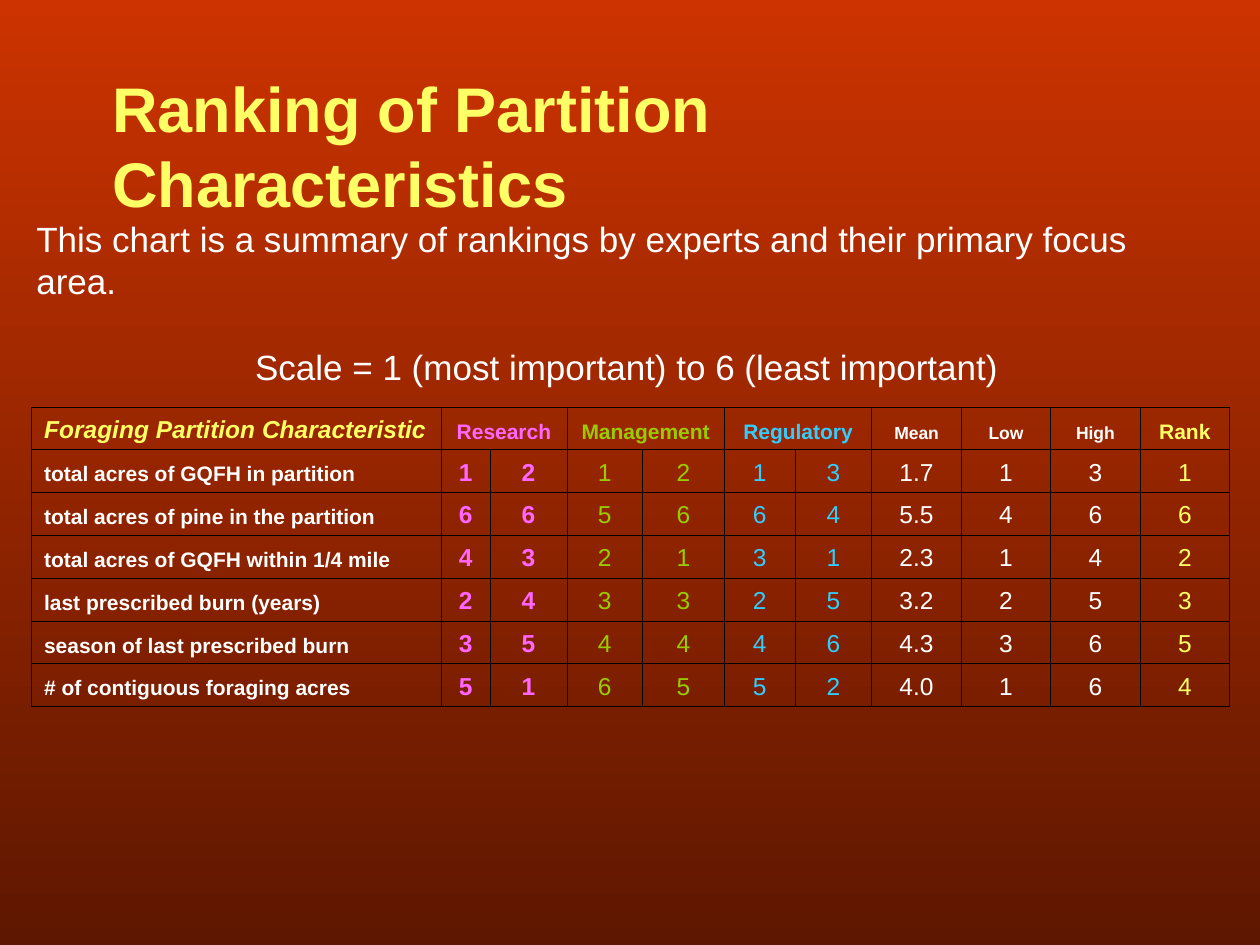
from lxml import etree
from pptx import Presentation
from pptx.dml.color import RGBColor
from pptx.enum.text import MSO_ANCHOR, MSO_AUTO_SIZE, PP_ALIGN
from pptx.oxml.ns import qn
from pptx.util import Inches, Pt

LEFT, CENTER = PP_ALIGN.LEFT, PP_ALIGN.CENTER
TOP, BOTTOM = MSO_ANCHOR.TOP, MSO_ANCHOR.BOTTOM

YELLOW = RGBColor(0xFF, 0xFF, 0x66)
WHITE = RGBColor(0xFF, 0xFF, 0xFF)
PINK = RGBColor(0xFF, 0x66, 0xFF)
GREEN = RGBColor(0x99, 0xCC, 0x00)
BLUE = RGBColor(0x33, 0xCC, 0xFF)
RED = RGBColor(0xCC, 0x33, 0x00)
BROWN = RGBColor(0x5E, 0x17, 0x00)
BLACK = RGBColor(0, 0, 0)

# Content
TITLE = "Ranking of Partition Characteristics"
INTRO = [
    ("This chart is a summary of rankings by experts and their primary focus area.", LEFT),
    ("Scale = 1 (most important) to 6 (least important)", CENTER),
]
# Heading, its size, colour, widths of the columns below it
GROUPS = [
    ("Foraging Partition Characteristic", 14, YELLOW, [3.25]),
    ("Research", 12, PINK, [0.39, 0.61]),
    ("Management", 12, GREEN, [0.6, 0.65]),
    ("Regulatory", 12, BLUE, [0.56, 0.61]),
    ("Mean", 10, WHITE, [0.71]),
    ("Low", 10, WHITE, [0.71]),
    ("High", 10, WHITE, [0.71]),
    ("Rank", 12, YELLOW, [0.71]),
]
ROWS = [
    ("total acres of GQFH in partition", 1, 2, 1, 2, 1, 3, 1.7, 1, 3, 1),
    ("total acres of pine in the partition", 6, 6, 5, 6, 6, 4, 5.5, 4, 6, 6),
    ("total acres of GQFH within 1/4 mile", 4, 3, 2, 1, 3, 1, 2.3, 1, 4, 2),
    ("last prescribed burn (years)", 2, 4, 3, 3, 2, 5, 3.2, 2, 5, 3),
    ("season of last prescribed burn", 3, 5, 4, 4, 4, 6, 4.3, 3, 6, 5),
    ("# of contiguous foraging acres", 5, 1, 6, 5, 5, 2, 4.0, 1, 6, 4),
]
ROW_HEIGHT = 0.34


def style(p, size, color, bold=False, italic=False, align=LEFT):
    p.alignment = align
    f = p.font
    f.name, f.size, f.bold, f.italic = "Arial", Pt(size), bold, italic
    f.color.rgb = color


def add_borders(cell):
    tcPr = cell._tc.get_or_add_tcPr()
    for side in ("lnL", "lnR", "lnT", "lnB"):
        ln = etree.SubElement(tcPr, qn(f"a:{side}"), w=str(Pt(0.45)))
        fill = etree.SubElement(ln, qn("a:solidFill"))
        etree.SubElement(fill, qn("a:srgbClr"), val=str(BLACK))


def fill_cell(cell, text, *args, **kwargs):
    add_borders(cell)
    cell.fill.background()
    cell.vertical_anchor = BOTTOM
    cell.text = text
    style(cell.text_frame.paragraphs[0], *args, **kwargs)


prs = Presentation()
prs.slide_width, prs.slide_height = Inches(10), Inches(7.5)
s = prs.slides.add_slide(prs.slide_layouts[5])

# Background, running from top to bottom
bg = s.background.fill
bg.gradient()
bg.gradient_angle = 270
for stop, color in zip(bg.gradient_stops, (RED, BROWN)):
    stop.color.rgb = color

# Ranking table
widths = [w for group in GROUPS for w in group[3]]
frame = s.shapes.add_table(len(ROWS) + 1, len(widths), Inches(0.25), Inches(3.23),
                           Inches(sum(widths)), Inches(ROW_HEIGHT * (len(ROWS) + 1)))
table = frame.table
table.first_row = table.horz_banding = False
for row in table.rows:
    row.height = Inches(ROW_HEIGHT)
for column, width in zip(table.columns, widths):
    column.width = Inches(width)

col = 0
for heading, size, color, group_widths in GROUPS:
    first, last = col, col + len(group_widths) - 1
    for c in range(first, last + 1):
        is_label = c == 0
        fill_cell(table.cell(0, c), heading if c == first else "", size, color,
                  bold=True, italic=is_label, align=LEFT if is_label else CENTER)
        for r, values in enumerate(ROWS, start=1):
            cell, text = table.cell(r, c), str(values[c])
            if is_label:
                fill_cell(cell, text, 12, WHITE, bold=True)
            else:
                fill_cell(cell, text, 14, color, bold=color == PINK, align=CENTER)
    if last > first:
        table.cell(0, first).merge(table.cell(0, last))
    col = last + 1

# Title
title = s.shapes.title
title.left, title.top, title.width, title.height = map(Inches, (0.79, 0.5, 8.7, 0.7))
tf = title.text_frame
tf.text = TITLE
tf.word_wrap = False
tf.auto_size = MSO_AUTO_SIZE.SHAPE_TO_FIT_TEXT
tf.vertical_anchor = TOP
style(tf.paragraphs[0], 36, YELLOW, bold=True)

# Introduction and scale
tf = s.shapes.add_textbox(*map(Inches, (0.19, 1.68, 9.57, 1.1))).text_frame
tf.word_wrap = True
tf.text = "\n".join(text for text, _ in INTRO)
for p, (_, align) in zip(tf.paragraphs, INTRO):
    style(p, 20, WHITE, align=align)
tf.paragraphs[1].space_before = Pt(25)

prs.save("out.pptx")
